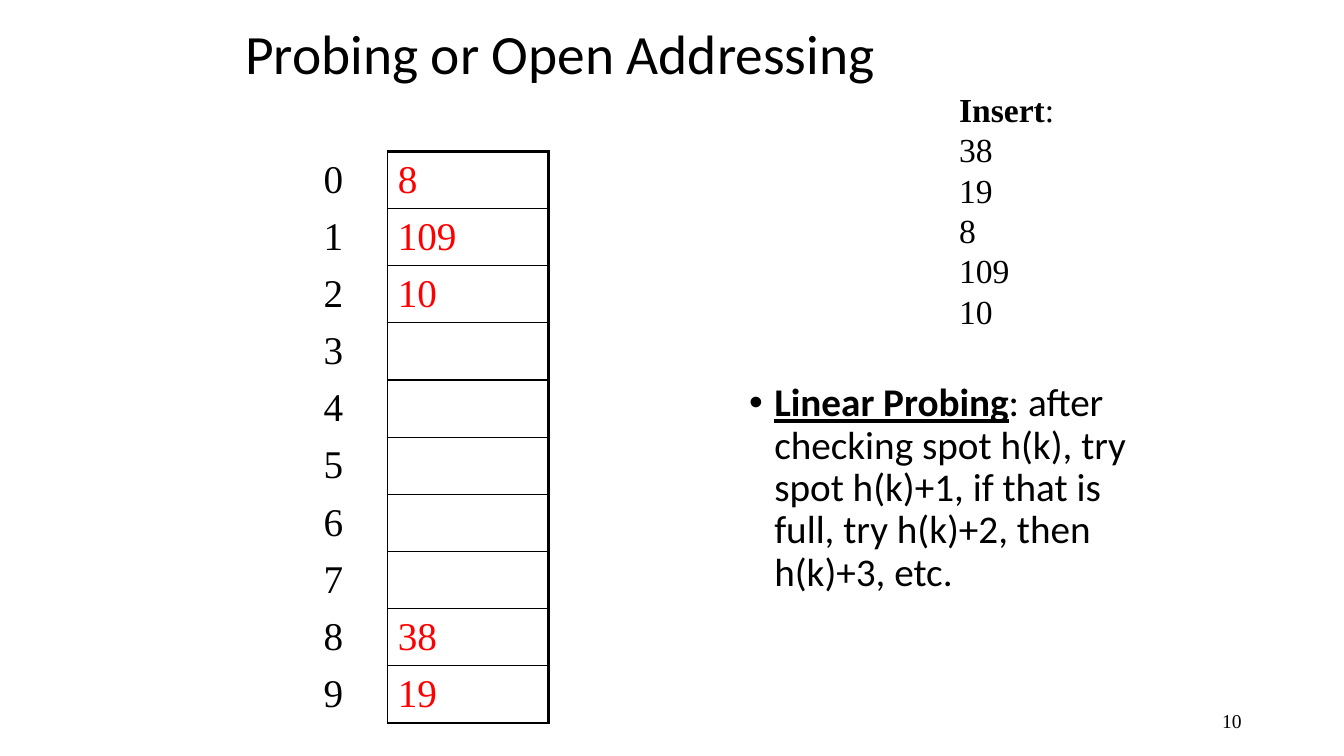
from lxml.etree import SubElement
from pptx import Presentation
from pptx.dml.color import RGBColor
from pptx.enum.text import MSO_ANCHOR as Anchor, PP_ALIGN as Align
from pptx.oxml.ns import qn
from pptx.util import Pt

BLACK, RED = "000000", "FF0000"
SERIF, SANS = "Times New Roman", "Calibri"
TABLE_SIZE = 10
THIN, THICK = 1, 2.25


def color(value):
    return RGBColor.from_string(value)


class SlideBuilder:
    def __init__(self, page):
        self.page = page

    def style(self, para, size, face, ink=BLACK):
        para.font.size = Pt(size)
        para.font.name = face
        para.font.color.rgb = color(ink)

    def text(self, area, lines, size, face, anchor=Anchor.TOP, align=Align.LEFT, spacing=1):
        """Add a text box; each line is a list of (text, font flags) pairs."""
        box = self.page.shapes.add_textbox(*map(Pt, area))
        frame = box.text_frame
        frame.word_wrap = True
        frame.vertical_anchor = anchor
        for index, line in enumerate(lines):
            para = frame.paragraphs[0] if index == 0 else frame.add_paragraph()
            para.alignment = align
            para.line_spacing = spacing
            self.style(para, size, face)
            for words, flags in line:
                span = para.add_run()
                span.text = words
                span.font.bold = "b" in flags
                span.font.underline = "u" in flags
        return frame

    def bullet(self, para, indent):
        properties = para._p.get_or_add_pPr()
        properties.set("marL", str(Pt(indent)))
        properties.set("indent", str(Pt(-indent)))
        SubElement(properties, qn("a:buFont"), typeface="Arial")
        SubElement(properties, qn("a:buChar"), char="•")

    def borders(self, cell, left, right, top, bottom):
        """Set the four border widths; zero means no line."""
        properties = cell._tc.get_or_add_tcPr()
        for side, width in zip("LRTB", (left, right, top, bottom)):
            line = SubElement(properties, qn(f"a:ln{side}"), w=str(Pt(width)))
            if width:
                fill = SubElement(line, qn("a:solidFill"))
                SubElement(fill, qn("a:srgbClr"), val=BLACK)
            else:
                SubElement(line, qn("a:noFill"))

    def cell(self, cell, words, ink, widths):
        self.borders(cell, *widths)
        cell.fill.background()
        cell.vertical_anchor = Anchor.MIDDLE
        cell.text = words
        self.style(cell.text_frame.paragraphs[0], 28, SERIF, ink)

    def hash_table(self, left, top, column_widths, row_height, slots):
        height = row_height * TABLE_SIZE
        table = self.page.shapes.add_table(
            TABLE_SIZE, 2, Pt(left), Pt(top), Pt(sum(column_widths)), Pt(height)).table
        table.first_row = table.horz_banding = False
        for column, width in zip(table.columns, column_widths):
            column.width = Pt(width)
        for index, row in enumerate(table.rows):
            row.height = Pt(row_height)
            above = THICK if index == 0 else THIN
            below = THICK if index == TABLE_SIZE - 1 else THIN
            self.cell(row.cells[0], str(index), BLACK, (0, THIN, 0, 0))
            self.cell(row.cells[1], slots.get(index, ""), RED, (THIN, THICK, above, below))


def main():
    deck = Presentation()
    deck.slide_width, deck.slide_height = Pt(960), Pt(540)
    builder = SlideBuilder(deck.slides.add_slide(deck.slide_layouts[6]))

    builder.text((678, 500.4, 216, 28.8), [[("10", "")]], 14, SERIF,
                 Anchor.MIDDLE, Align.RIGHT)
    builder.text((168, 13.5, 612, 54), [[("Probing or Open Addressing", "")]], 39.6, SANS,
                 Anchor.MIDDLE, spacing=0.9)
    builder.hash_table(224, 108, (53, 115), 38.2,
                       {0: "8", 1: "109", 2: "10", 8: "38", 9: "19"})

    keys = ["38", "19", "8", "109", "10"]
    heading = [("Insert", "b"), (":", "")]
    builder.text((678, 60, 98, 181.5), [heading] + [[(key, "")] for key in keys], 24, SERIF)

    probing = [("Linear Probing", "bu"),
               (": after checking spot h(k), try spot h(k)+1, if that is full, "
                "try h(k)+2, then h(k)+3, etc.", "")]
    body = builder.text((528, 270, 294, 216), [probing], 28, SANS, spacing=0.9)
    body.paragraphs[0].space_before = Pt(10)
    builder.bullet(body.paragraphs[0], 18)

    deck.save("out.pptx")


if __name__ == "__main__":
    main()
